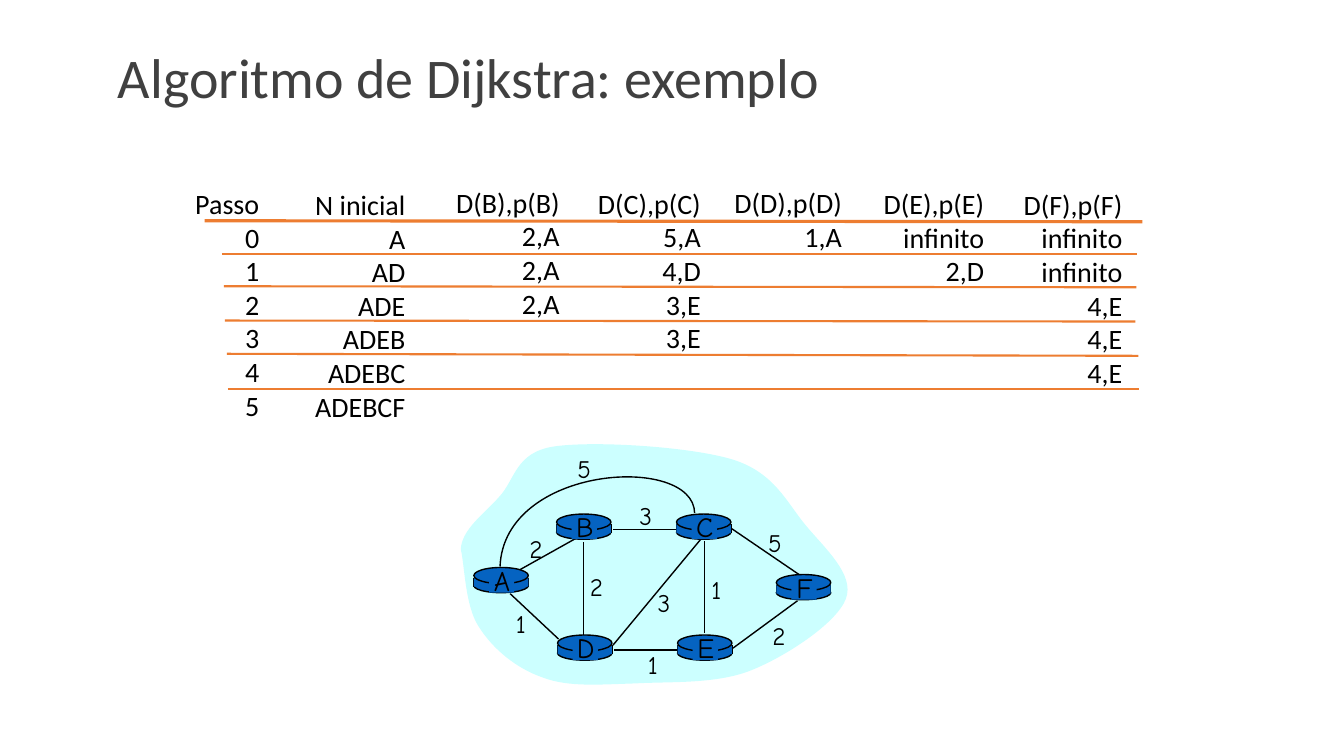
from lxml import etree
from pptx import Presentation
from pptx import util as u
from pptx.dml.color import RGBColor
from pptx.enum import shapes, text
from pptx.oxml.ns import qn

BLACK = RGBColor(0x00, 0x00, 0x00)
TITLE_GREY = RGBColor(0x40, 0x40, 0x40)
ORANGE = RGBColor(0xED, 0x7D, 0x31)
CLOUD_CYAN = RGBColor(0xCC, 0xFF, 0xFF)
ROUTER_BLUE = RGBColor(0x05, 0x63, 0xC1)

TITLE = "Algoritmo de Dijkstra: exemplo"

# Left, top, width, then the entries of each column from header down
STEP_COLUMNS = [
    (1.83, 1.80, 0.84, ["Passo", "0", "1", "2", "3", "4", "5"]),
    (3.01, 1.81, 1.11, ["N inicial", "A", "AD", "ADE", "ADEB", "ADEBC", "ADEBCF"]),
    (4.41, 1.79, 1.24, ["D(B),p(B)", "2,A", "2,A", "2,A"]),
    (5.82, 1.80, 1.23, ["D(C),p(C)", "5,A", "4,D", "3,E", "3,E"]),
    (7.17, 1.79, 1.28, ["D(D),p(D)", "1,A"]),
    (8.65, 1.80, 1.21, ["D(E),p(E)", "infinito", "2,D"]),
    (10.04, 1.81, 1.19, ["D(F),p(F)", "infinito", "infinito", "4,E", "4,E", "4,E"]),
]
ROW_HEIGHT = 0.34

# Start, end, weight in points
ROW_RULES = [
    ((2.03, 2.19), (11.33, 2.20), 2.25),
    ((2.20, 2.52), (11.28, 2.52), 1.5),
    ((2.22, 2.84), (11.27, 2.85), 1.5),
    ((2.23, 3.18), (11.26, 3.19), 1.5),
    ((2.25, 3.51), (11.29, 3.53), 1.5),
    ((2.26, 3.86), (11.30, 3.86), 1.5),
]

# Start point, then control, control, end for each Bezier segment
CLOUD = [
    (4.57, 5.45),
    (4.58, 5.25), (4.80, 5.10), (4.95, 4.93),
    (5.11, 4.76), (5.11, 4.49), (5.49, 4.43),
    (5.88, 4.37), (6.85, 4.43), (7.27, 4.56),
    (7.68, 4.69), (7.80, 4.98), (7.99, 5.21),
    (8.18, 5.44), (8.48, 5.70), (8.39, 5.94),
    (8.30, 6.18), (7.80, 6.51), (7.45, 6.65),
    (7.10, 6.79), (6.64, 6.76), (6.30, 6.78),
    (5.95, 6.79), (5.64, 6.82), (5.38, 6.72),
    (5.12, 6.63), (4.89, 6.44), (4.75, 6.22),
    (4.61, 6.01), (4.61, 5.61), (4.57, 5.45),
]
EDGE_A_C = [(6.89, 5.09), (6.88, 4.50), (5.00, 4.61), (4.96, 5.62)]

# Left and top of each router
ROUTERS = {
    "A": (4.70, 5.63), "D": (5.53, 6.30), "B": (5.52, 5.10),
    "C": (6.71, 5.10), "E": (6.72, 6.30), "F": (7.70, 5.70),
}
ROUTER_WIDTH = 0.54

# Start, end, cost, left and top of the cost
EDGES = [
    ((5.16, 5.65), (5.75, 5.32), "2", (5.14, 5.24)),
    ((5.79, 5.38), (5.79, 6.31), "2", (5.74, 5.62)),
    ((5.54, 6.34), (5.06, 5.89), "1", (4.99, 5.99)),
    ((6.08, 6.40), (6.95, 5.35), "3", (6.41, 5.78)),
    ((6.72, 6.45), (6.09, 6.45), "1", (6.30, 6.39)),
    ((6.99, 5.37), (6.99, 6.28), "1", (6.93, 5.65)),
    ((7.27, 6.43), (7.91, 5.96), "2", (7.55, 6.11)),
    ((7.94, 5.71), (7.25, 5.24), "5", (7.51, 5.18)),
    ((6.71, 5.25), (6.08, 5.25), "3", (6.23, 4.91)),
]
COST_A_C = ("5", (5.62, 4.45))


def write(frame, lines, size, font="Calibri", color=BLACK,
          align=text.PP_ALIGN.CENTER, spacing=None):
    for index, line in enumerate(lines):
        paragraph = frame.paragraphs[0] if index == 0 else frame.add_paragraph()
        paragraph.text = line
        paragraph.alignment = align
        paragraph.line_spacing = spacing
        paragraph.font.size = u.Pt(size)
        paragraph.font.name = font
        paragraph.font.color.rgb = color


def add_label(slide, left, top, width, height, lines, size, **style):
    box = slide.shapes.add_textbox(*map(u.Inches, (left, top, width, height)))
    box.text_frame.word_wrap = False
    box.text_frame.auto_size = text.MSO_AUTO_SIZE.SHAPE_TO_FIT_TEXT
    write(box.text_frame, lines, size, **style)


def add_line(slide, start, end, color=BLACK, weight=1):
    line = slide.shapes.add_connector(
        shapes.MSO_CONNECTOR.STRAIGHT, *map(u.Inches, (*start, *end)))
    line.line.color.rgb = color
    line.line.width = u.Pt(weight)
    etree.SubElement(line._element.spPr, qn("a:effectLst"))


def paint(shape, fill=None, outline=None):
    shape.shadow.inherit = False
    if fill is None:
        shape.fill.background()
    else:
        shape.fill.solid()
        shape.fill.fore_color.rgb = fill
    if outline is None:
        shape.line.fill.background()
    else:
        shape.line.color.rgb = outline
        shape.line.width = u.Pt(1)


def add_block(slide, kind, left, top, width, height, outline=None):
    block = slide.shapes.add_shape(kind, *map(u.Inches, (left, top, width, height)))
    paint(block, ROUTER_BLUE, outline)


def add_curve(slide, points, closed=False, **colors):
    """Draw a chain of cubic Bezier segments, each three points after the first."""
    start, *rest = [(u.Inches(x), u.Inches(y)) for x, y in points]
    builder = slide.shapes.build_freeform(*start, scale=1.0)
    builder.add_line_segments(rest, close=closed)
    curve = builder.convert_to_shape()
    legs = list(curve._element.iter(qn("a:lnTo")))
    for first in range(0, len(rest), 3):
        bezier = etree.Element(qn("a:cubicBezTo"))
        legs[first].addprevious(bezier)
        for leg in legs[first:first + 3]:
            bezier.append(leg[0])
            leg.getparent().remove(leg)
    paint(curve, **colors)


def add_router(slide, left, top):
    oval, rect = shapes.MSO_SHAPE.OVAL, shapes.MSO_SHAPE.RECTANGLE
    add_block(slide, oval, left, top + 0.11, ROUTER_WIDTH, 0.14, BLACK)
    for side in (left, left + ROUTER_WIDTH):
        add_line(slide, (side, top + 0.1), (side, top + 0.19))
    add_block(slide, rect, left, top + 0.1, ROUTER_WIDTH, 0.09)
    add_block(slide, oval, left, top, ROUTER_WIDTH, 0.16, BLACK)
    add_block(slide, rect, left + 0.15, top + 0.02, 0.25, 0.23)


def main():
    deck = Presentation()
    deck.slide_width, deck.slide_height = u.Inches(13.33), u.Inches(7.5)
    slide = deck.slides.add_slide(deck.slide_layouts[5])

    title = slide.shapes.title
    title.left, title.top = u.Inches(1.07), u.Inches(0.12)
    title.width, title.height = u.Inches(11.2), u.Inches(1.35)
    title.text_frame.vertical_anchor = text.MSO_ANCHOR.MIDDLE
    write(title.text_frame, [TITLE], 40, color=TITLE_GREY,
          align=text.PP_ALIGN.LEFT, spacing=0.9)

    for left, top, width, entries in STEP_COLUMNS:
        add_label(slide, left, top, width, 0.1 + ROW_HEIGHT * len(entries), entries, 20,
                  align=text.PP_ALIGN.RIGHT)
    for start, end, weight in ROW_RULES:
        add_line(slide, start, end, ORANGE, weight)

    add_curve(slide, CLOUD, closed=True, fill=CLOUD_CYAN)
    add_curve(slide, EDGE_A_C, outline=BLACK)
    for start, end, _, _ in EDGES:
        add_line(slide, start, end)
    for name, (left, top) in ROUTERS.items():
        add_router(slide, left, top)
        add_label(slide, left + 0.08, top - 0.09, 0.4, 0.43, [name], 20, font="Comic Neue")
    costs = [edge[2:] for edge in EDGES] + [COST_A_C]
    for cost, (left, top) in costs:
        add_label(slide, left, top, 0.35, 0.4, [cost], 18, font="Comic Neue")

    deck.save("out.pptx")


if __name__ == "__main__":
    main()
